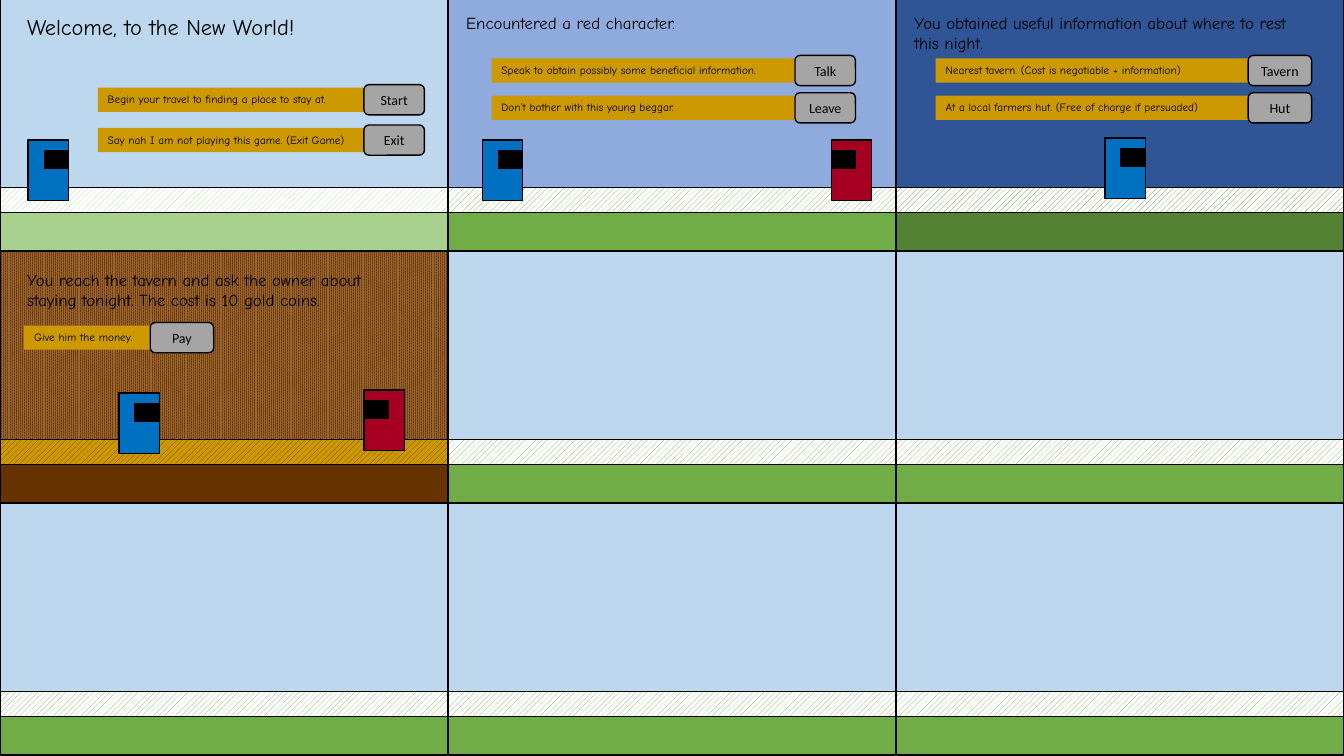
from dataclasses import dataclass

from pptx import Presentation
from pptx.dml.color import RGBColor
from pptx.enum.dml import MSO_PATTERN as Pattern
from pptx.enum.shapes import MSO_SHAPE as Shape
from pptx.enum.text import MSO_ANCHOR as Anchor, PP_ALIGN as Align
from pptx.util import Inches, Pt

COLORS = {
    "black": "000000", "white": "FFFFFF", "gold": "CC9900", "button": "A5A5A5",
    "hero": "0070C0", "stranger": "A50021",
    "day": "BDD7EE", "dusk": "8FAADC", "night": "2F5597",
    "pale grass": "A9D18E", "grass": "70AD47", "dark grass": "548235",
    "wood": "996633", "dark wood": "663300",
}
SCENE_WIDTH, COLUMN_STEP = 4.44, 4.445
SCENE_TOP, ROW_STEP = -0.01, 2.5
TITLE_FONT, BUTTON_FONT = "Comic Neue", "Calibri"


@dataclass
class Box:
    left: float
    top: float
    width: float
    height: float

    def inner(self, left, top, width, height):
        return Box(self.left + left, self.top + top, width, height)

    def lengths(self):
        return [Inches(value) for value in
                (self.left, self.top, self.width, self.height)]


def rgb(name):
    return RGBColor.from_string(COLORS[name])


def add_block(parent, box, color, kind=Shape.RECTANGLE, outlined=True):
    block = parent.shapes.add_shape(kind, *box.lengths())
    block.shadow.inherit = False
    block.fill.solid()
    block.fill.fore_color.rgb = rgb(color)
    if outlined:
        block.line.color.rgb = rgb("black")
        block.line.width = Pt(1)
    else:
        block.line.fill.background()
    return block


def add_pattern(block, pattern, front, back):
    block.fill.patterned()
    block.fill.pattern = pattern
    block.fill.fore_color.rgb = rgb(front)
    block.fill.back_color.rgb = rgb(back)


def write(shape, text, size, font=TITLE_FONT, align=Align.LEFT, anchor=Anchor.TOP):
    frame = shape.text_frame
    frame.text = text
    frame.word_wrap = True
    frame.vertical_anchor = anchor
    para = frame.paragraphs[0]
    para.alignment = align
    span = para.runs[0]
    span.font.name = font
    span.font.size = Pt(size)
    span.font.color.rgb = rgb("black")


def draw_scenery(page, box, sky, ground, trail):
    group = page.shapes.add_group_shape()
    sky_block = add_block(group, box.inner(0, 0, box.width, 1.87), sky)
    if sky == "wood":
        add_pattern(sky_block, Pattern.PERCENT_90, "wood", "dark wood")
    add_block(group, box.inner(0, 2.12, box.width, 0.38), ground)
    trail_block = add_block(group, box.inner(0, 1.87, box.width, 0.25), trail)
    add_pattern(trail_block, Pattern.WIDE_UPWARD_DIAGONAL, ground, trail)


def draw_title(page, box, text, left, top, size):
    height = 0.5 if len(text) > 40 else 0.3
    title = page.shapes.add_textbox(*box.inner(left, top, 4.04, height).lengths())
    write(title, text, size)


def draw_character(page, box, color, left, top):
    group = page.shapes.add_group_shape()
    body = box.inner(left, top, 0.4, 0.6)
    add_block(group, body, color)
    visor_left = 0.16 if color == "hero" else 0
    add_block(group, body.inner(visor_left, 0.11, 0.24, 0.17), "black")


def draw_choice(page, box, text, label, left, top, width, button_left, button_width):
    group = page.shapes.add_group_shape()
    bar = add_block(group, box.inner(left, top + 0.03, width, 0.24), "gold",
                    outlined=False)
    write(bar, text, 8)
    button = add_block(group, box.inner(button_left, top, button_width, 0.3),
                       "button", Shape.ROUNDED_RECTANGLE)
    write(button, label, 10, BUTTON_FONT, Align.CENTER, Anchor.MIDDLE)


def draw_scene(page, box, sky="day", ground="grass", trail="white",
               title=None, characters=(), choices=()):
    draw_scenery(page, box, sky, ground, trail)
    if title:
        draw_title(page, box, *title)
    for character in characters:
        draw_character(page, box, *character)
    for choice in choices:
        draw_choice(page, box, *choice)


SCENES = [
    dict(sky="day", ground="pale grass",
         title=("Welcome, to the New World!", 0.17, 0.09, 16),
         characters=[("hero", 0.28, 1.4)],
         choices=[
             ("Begin your travel to finding a place to stay at.", "Start",
              0.97, 0.85, 3, 3.61, 0.6),
             ("Say nah I am not playing this game. (Exit Game)", "Exit",
              0.97, 1.25, 2.78, 3.61, 0.6)]),
    dict(sky="dusk",
         title=("Encountered a red character.", 0.08, 0.09, 12),
         characters=[("hero", 0.34, 1.4), ("stranger", 3.8, 1.4)],
         choices=[
             ("Speak to obtain possibly some beneficial information.", "Talk",
              0.43, 0.56, 3, 3.44, 0.6),
             ("Don’t bother with this young beggar.", "Leave",
              0.43, 0.93, 3, 3.44, 0.6)]),
    dict(sky="night", ground="dark grass",
         title=("You obtained useful information about where to rest this night.",
                0.08, 0.09, 12),
         characters=[("hero", 2.07, 1.38)],
         choices=[
             ("Nearest tavern. (Cost is negotiable + information)", "Tavern",
              0.39, 0.56, 3.1, 3.49, 0.63),
             ("At a local farmers hut. (Free of charge if persuaded)", "Hut",
              0.39, 0.93, 3.1, 3.49, 0.63)]),
    dict(sky="wood", ground="dark wood", trail="gold",
         title=("You reach the tavern and ask the owner about staying tonight. "
                "The cost is 10 gold coins.", 0.17, 0.14, 12),
         characters=[("hero", 1.18, 1.41), ("stranger", 3.61, 1.38)],
         choices=[("Give him the money.", "Pay", 0.24, 0.71, 1.25, 1.49, 0.63)]),
] + [{}] * 5

deck = Presentation()
deck.slide_width, deck.slide_height = Inches(13.33), Inches(7.5)
page = deck.slides.add_slide(deck.slide_layouts[6])
for index, scene in enumerate(SCENES):
    row, column = divmod(index, 3)
    box = Box(column * COLUMN_STEP, SCENE_TOP + row * ROW_STEP, SCENE_WIDTH, ROW_STEP)
    draw_scene(page, box, **scene)
deck.save("out.pptx")
